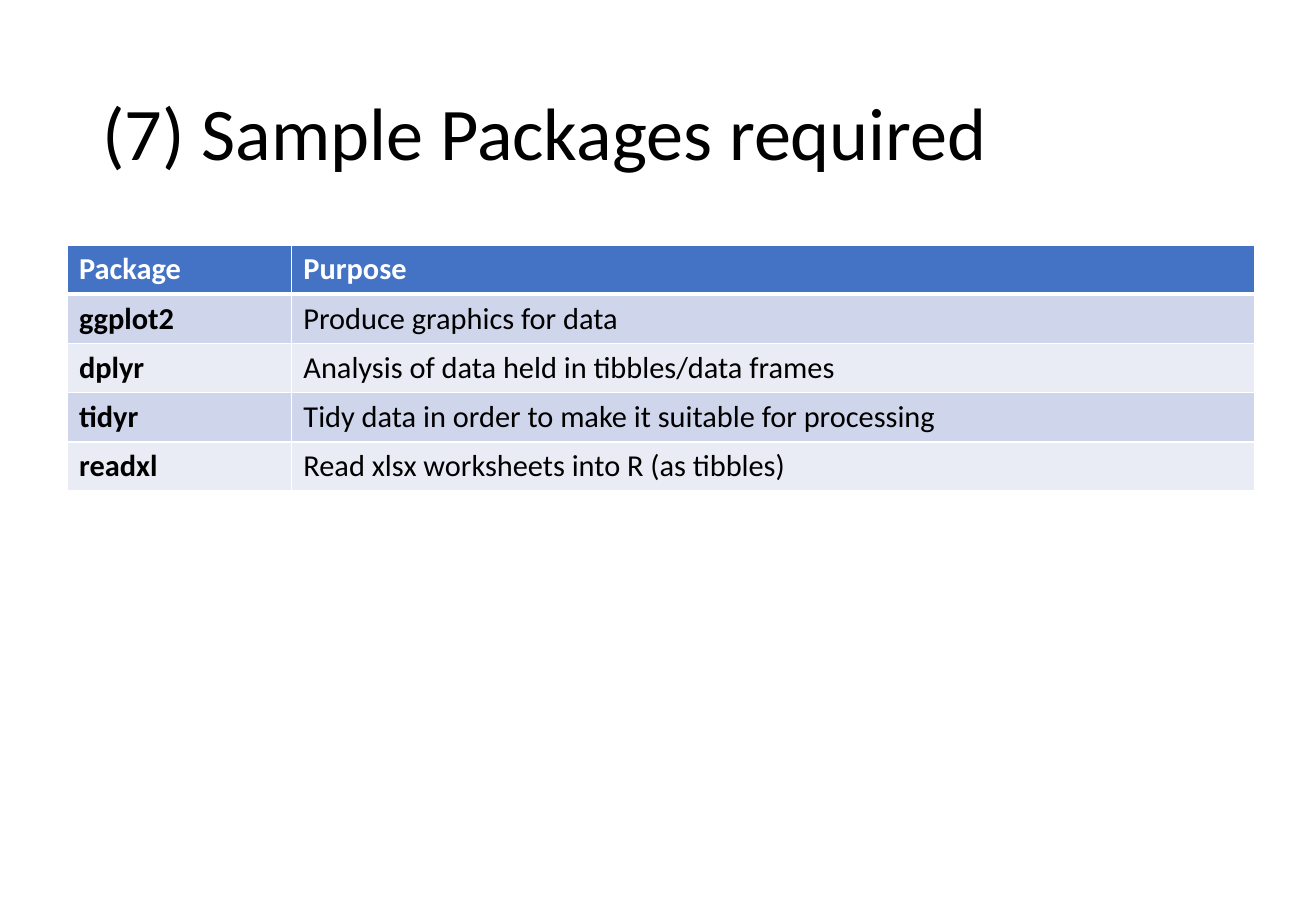
from lxml.etree import SubElement
from pptx import Presentation
from pptx.dml.color import RGBColor
from pptx.enum.text import MSO_ANCHOR
from pptx.oxml.ns import qn
from pptx.util import Cm, Pt

FONT = "Calibri"
BLACK, WHITE = "000000", "FFFFFF"
HEADER_FILL = "4472C4"
BAND_FILLS = ("CFD5EA", "E9EBF5")
PACKAGES = (
    ("Package", "Purpose"),
    ("ggplot2", "Produce graphics for data"),
    ("dplyr", "Analysis of data held in tibbles/data frames"),
    ("tidyr", "Tidy data in order to make it suitable for processing"),
    ("readxl", "Read xlsx worksheets into R (as tibbles)"),
)


def color(hex_code):
    """Return the colour for a hex string."""
    return RGBColor.from_string(hex_code)


def write_text(text_frame, text, size, hex_code, bold=False):
    """Put one formatted line of text into a frame."""
    text_frame.text = text
    font = text_frame.paragraphs[0].runs[0].font
    font.name, font.size, font.bold = FONT, Pt(size), bold
    font.color.rgb = color(hex_code)


def set_borders(cell, **widths):
    """Draw white cell borders with widths in points, keyed by side."""
    properties = cell._tc.get_or_add_tcPr()
    for side, width in widths.items():
        line = SubElement(properties, qn(f"a:ln{side}"), w=str(Pt(width)))
        fill = SubElement(line, qn("a:solidFill"))
        SubElement(fill, qn("a:srgbClr"), val=WHITE)


def add_title(slide, text, left, top, width, height):
    """Add the slide title, centred vertically in its box."""
    shape = slide.shapes.add_textbox(left, top, width, height)
    text_frame = shape.text_frame
    text_frame.word_wrap = True
    text_frame.vertical_anchor = MSO_ANCHOR.MIDDLE
    write_text(text_frame, text, 44, BLACK)
    text_frame.paragraphs[0].line_spacing = 0.9


def add_package_table(slide, rows, left, top, width, height):
    """Add the banded table of packages and their purposes."""
    shape = slide.shapes.add_table(len(rows), 2, left, top, width, height)
    table = shape.table
    table.columns[0].width = Cm(4.69)
    table.columns[1].width = width - Cm(4.69)
    for row_index, row in enumerate(rows):
        is_header = row_index == 0
        fill = HEADER_FILL if is_header else BAND_FILLS[(row_index - 1) % 2]
        for column_index, text in enumerate(row):
            cell = table.cell(row_index, column_index)
            set_borders(cell, L=1, R=1, T=3 if row_index == 1 else 1,
                        B=3 if is_header else 1)
            cell.fill.solid()
            cell.fill.fore_color.rgb = color(fill)
            write_text(cell.text_frame, text, 18, WHITE if is_header else BLACK,
                       bold=is_header or column_index == 0)


def main():
    """Build and save the slide."""
    presentation = Presentation()
    presentation.slide_width = Cm(27.51)
    presentation.slide_height = Cm(19.05)
    slide = presentation.slides.add_slide(presentation.slide_layouts[6])
    add_title(slide, "(7) Sample Packages required",
              Cm(1.89), Cm(1.01), Cm(23.73), Cm(3.68))
    add_package_table(slide, PACKAGES, Cm(1.4), Cm(5.12), Cm(24.82), Cm(5.15))
    presentation.save("out.pptx")


if __name__ == "__main__":
    main()
